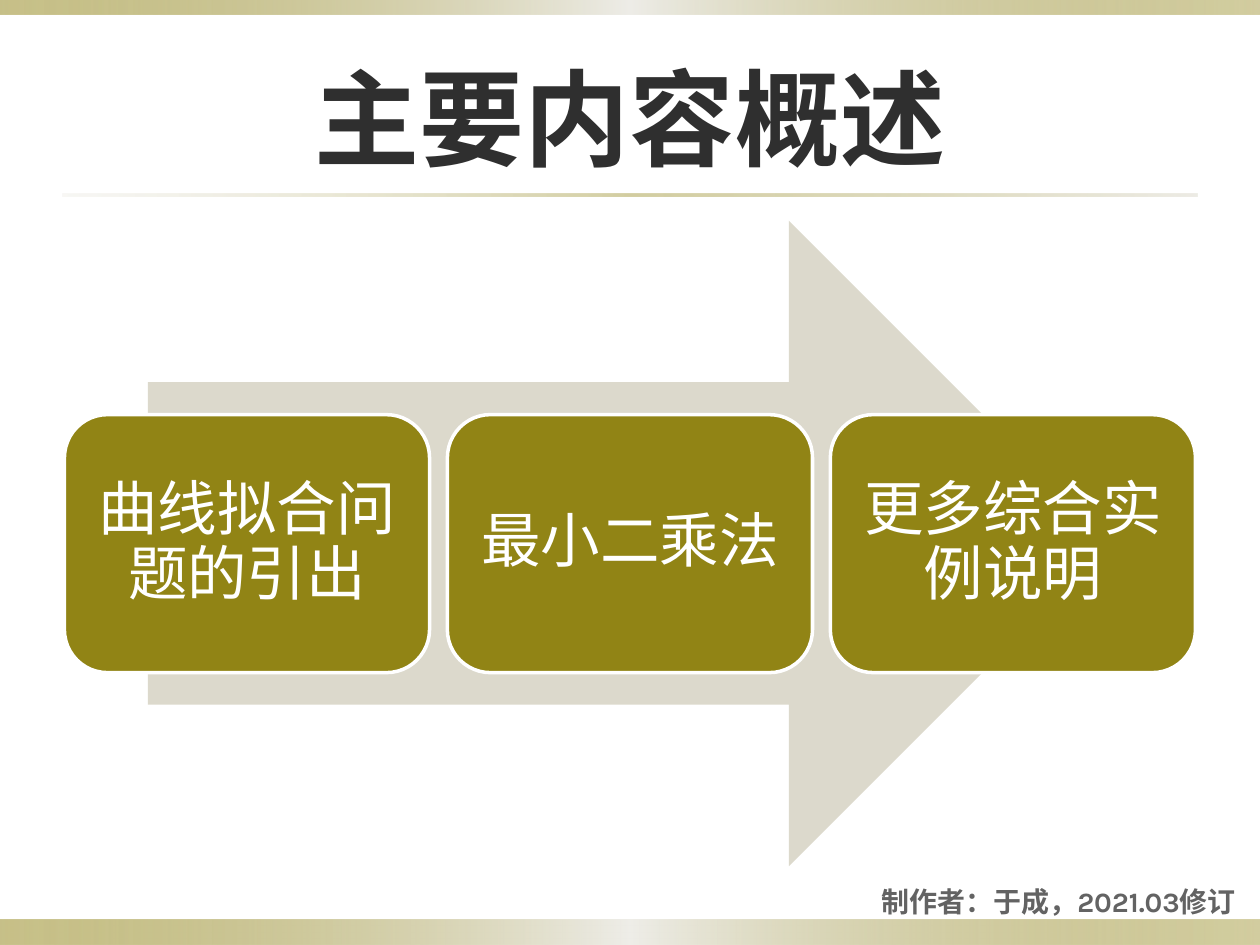
import lxml.etree
import pptx
import pptx.dml.color
import pptx.enum.shapes
import pptx.enum.text
import pptx.oxml.ns
import pptx.util

Cm = pptx.util.Cm
Pt = pptx.util.Pt
MSO_SHAPE = pptx.enum.shapes.MSO_SHAPE
PP_ALIGN = pptx.enum.text.PP_ALIGN
qn = pptx.oxml.ns.qn

TITLE = "主要内容概述"
STEPS = ["曲线拟合问题的引出", "最小二乘法", "更多综合实例说明"]
CREDIT = "制作者：于成，2021.03修订"

FONT = "Karla"
COLORS = {
    "olive": "918415",
    "sand": "DCD9CC",
    "pale": "EEEDE8",
    "title": "2F2F2F",
    "credit": "636363",
    "white": "FFFFFF",
}

BAND_STOPS = [(0, "olive", 50), (50, "pale", 100), (100, "olive", 40)]
RULE_STOPS = [(0, "sand", 20), (50, "olive", 40), (100, "sand", 50)]
STRIPS = [
    ((0, 18.54, 25.4, 0.51), BAND_STOPS),
    ((0, 0, 25.4, 0.3), BAND_STOPS),
    ((1.27, 3.9, 22.86, 0.06), RULE_STOPS),
]

ARROW_BOX = (2.98, 4.45, 19.43, 13.01)
STEP_LEFT, STEP_TOP = 1.3, 8.36
STEP_WIDTH, STEP_HEIGHT = 7.36, 5.2
STEP_GAP = 0.36


def color(name):
    return pptx.dml.color.RGBColor.from_string(COLORS[name])


def add_shape(slide, kind, box, fill=None):
    shape = slide.shapes.add_shape(kind, *map(Cm, box))
    shape.shadow.inherit = False
    shape.line.fill.background()
    if fill:
        shape.fill.solid()
        shape.fill.fore_color.rgb = color(fill)
    return shape


def set_gradient(shape, stops):
    shape.fill.gradient()
    shape.fill.gradient_angle = 0
    stop_list = shape.element.spPr.find(qn("a:gradFill")).find(qn("a:gsLst"))
    for stop in list(stop_list):
        stop_list.remove(stop)
    for position, name, opacity in stops:
        stop = lxml.etree.SubElement(stop_list, qn("a:gs"), pos=str(position * 1000))
        tint = lxml.etree.SubElement(stop, qn("a:srgbClr"), val=COLORS[name])
        if opacity < 100:
            lxml.etree.SubElement(tint, qn("a:alpha"), val=str(opacity * 1000))


def write_text(shape, text, size, name, alignment, bold=False):
    frame = shape.text_frame
    frame.word_wrap = True
    frame.vertical_anchor = pptx.enum.text.MSO_ANCHOR.MIDDLE
    paragraph = frame.paragraphs[0]
    paragraph.text = text
    paragraph.alignment = alignment
    paragraph.font.name = FONT
    paragraph.font.size = Pt(size)
    paragraph.font.bold = bold
    paragraph.font.color.rgb = color(name)
    return paragraph


def add_step(slide, index, text):
    left = STEP_LEFT + index * (STEP_WIDTH + STEP_GAP)
    box = (left, STEP_TOP, STEP_WIDTH, STEP_HEIGHT)
    shape = add_shape(slide, MSO_SHAPE.ROUNDED_RECTANGLE, box, "olive")
    shape.line.color.rgb = color("white")
    shape.line.width = Pt(2)
    frame = shape.text_frame
    frame.margin_left = frame.margin_right = Cm(0.36)
    frame.margin_top = frame.margin_bottom = Cm(0.36)
    paragraph = write_text(shape, text, 34, "white", PP_ALIGN.CENTER)
    paragraph.line_spacing = 0.9


def main():
    presentation = pptx.Presentation()
    presentation.slide_width = Cm(25.4)
    presentation.slide_height = Cm(19.05)
    slide = presentation.slides.add_slide(presentation.slide_layouts[6])

    for box, stops in STRIPS:
        set_gradient(add_shape(slide, MSO_SHAPE.RECTANGLE, box), stops)

    title = slide.shapes.add_textbox(Cm(1.27), Cm(0.76), Cm(22.86), Cm(3.18))
    write_text(title, TITLE, 60, "title", PP_ALIGN.CENTER, bold=True)

    add_shape(slide, MSO_SHAPE.RIGHT_ARROW, ARROW_BOX, "sand")
    for index, text in enumerate(STEPS):
        add_step(slide, index, text)

    credit = slide.shapes.add_textbox(Cm(14.8), Cm(17.78), Cm(10.36), Cm(0.79))
    write_text(credit, CREDIT, 16, "credit", PP_ALIGN.RIGHT, bold=True)

    presentation.save("out.pptx")


if __name__ == "__main__":
    main()
